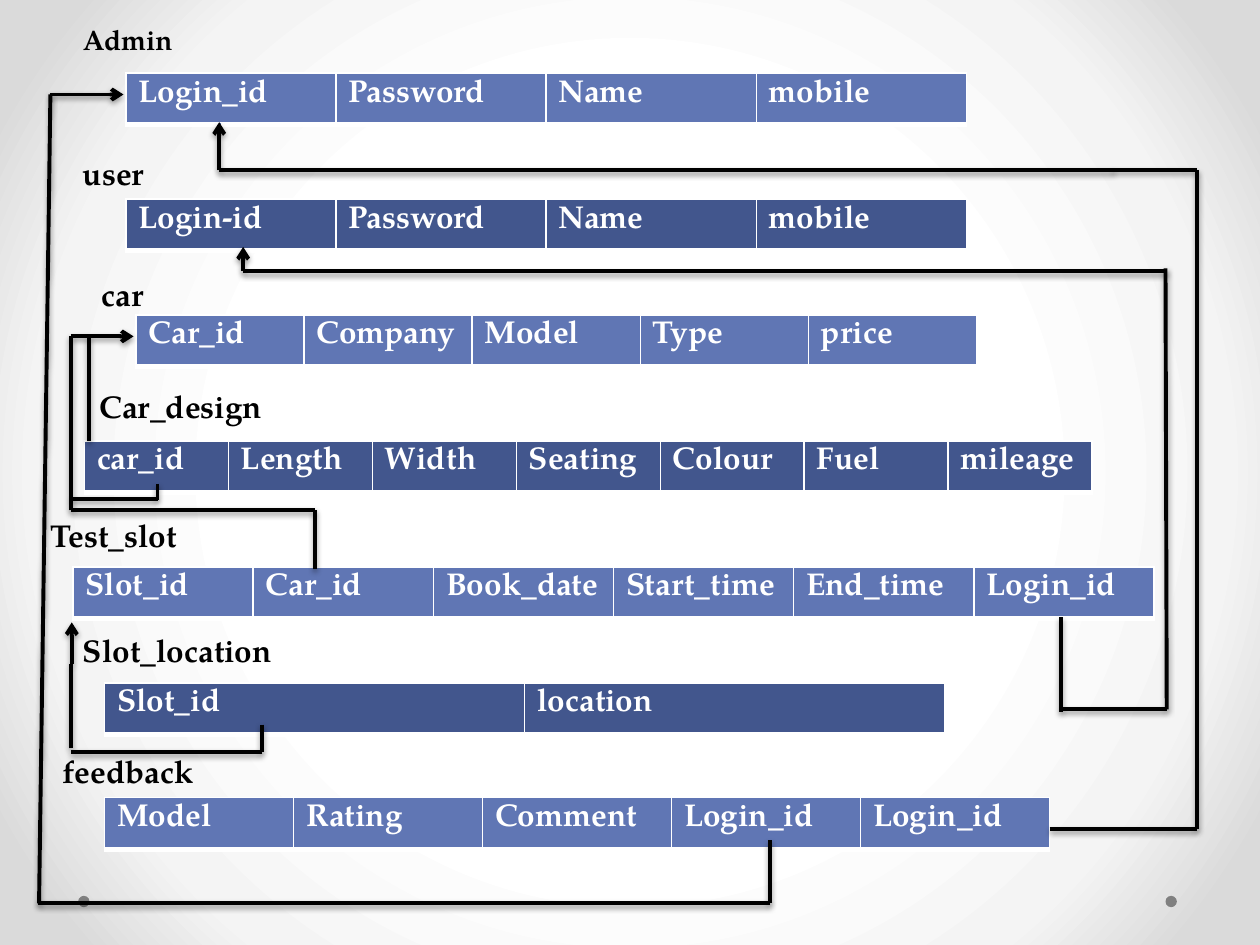
from itertools import pairwise
from lxml.etree import SubElement
from pptx import Presentation
from pptx.dml.color import RGBColor
from pptx.enum.shapes import MSO_CONNECTOR, MSO_SHAPE
from pptx.enum.text import MSO_AUTO_SIZE
from pptx.oxml.ns import qn
from pptx.util import Inches, Pt

THEME = {
    "font": "TeX Gyre Pagella",
    "size": 18,
    "small": 16,
    "text": "000000",
    "field_text": "FFFFFF",
    "rows": ["6076B4", "42568D"],
    "border": "FFFFFF",
    "link": "000000",
    "thin_link": "5C72B2",
    "dot": "808080",
    "background": [(0, "FFFFFF"), (50, "FFFFFF"), (76, "F4F4F4"), (92, "DADADA"), (100, "DADADA")],
}


def write_text(frame, text, size=THEME["size"], color=THEME["text"], bold=True):
    run = frame.paragraphs[0].add_run()
    run.text = text
    run.font.name = THEME["font"]
    run.font.size = Pt(size)
    run.font.bold = bold
    run.font.color.rgb = RGBColor.from_string(color)


def draw_link(start, end, color=THEME["link"], weight=2.25, arrow=False, shadow=True):
    link = slide.shapes.add_connector(
        MSO_CONNECTOR.STRAIGHT, *[Inches(v) for v in (*start, *end)])
    link.line.color.rgb = RGBColor.from_string(color)
    link.line.width = Pt(weight)
    properties = link.element.spPr
    if arrow:
        SubElement(properties.find(qn("a:ln")), qn("a:tailEnd"), type="arrow")
    effects = SubElement(properties, qn("a:effectLst"))
    if shadow:
        outer = SubElement(effects, qn("a:outerShdw"), blurRad="40000", dist="20000",
                           dir="5400000", rotWithShape="0")
        shade = SubElement(outer, qn("a:srgbClr"), val=color)
        SubElement(shade, qn("a:alpha"), val="38000")


deck = Presentation()
deck.slide_width, deck.slide_height = Inches(10), Inches(7.5)
slide = deck.slides.add_slide(deck.slide_layouts[6])

# Radial background
slide.background.fill.gradient()
gradient = slide.element.find(".//" + qn("a:gradFill"))
for part in list(gradient):
    gradient.remove(part)
stops = SubElement(gradient, qn("a:gsLst"))
for position, color in THEME["background"]:
    stop = SubElement(stops, qn("a:gs"), pos=str(position * 1000))
    SubElement(stop, qn("a:srgbClr"), val=color)
circle = SubElement(gradient, qn("a:path"), path="circle")
SubElement(circle, qn("a:fillToRect"), l="50000", t="50000", r="50000", b="50000")

# Footer dots
for left in (9.25, 0.62):
    dot = slide.shapes.add_shape(
        MSO_SHAPE.OVAL, Inches(left), Inches(7.11), Inches(0.09), Inches(0.09))
    dot.shadow.inherit = False
    dot.fill.solid()
    dot.fill.fore_color.rgb = RGBColor.from_string(THEME["dot"])
    dot.line.fill.background()

# Entities: name, size, label (left, top, width, height), row (left, top, width), fields
entities = [
    ("Admin", THEME["small"], (0.56, 0.13, 0.93, 0.37), (1, 0.58, 6.67),
     ["Login_id", "Password", "Name", "mobile"]),
    ("user", THEME["size"], (0.56, 1.17, 0.69, 0.4), (1, 1.58, 6.67),
     ["Login-id", "Password", "Name", "mobile"]),
    ("car", THEME["size"], (0.71, 2.13, 0.54, 0.4), (1.08, 2.5, 6.67),
     ["Car_id", "Company", "Model", "Type", "price"]),
    ("Car_design", THEME["size"], (0.69, 3.02, 1.51, 0.4), (0.67, 3.5, 8),
     ["car_id", "Length", "Width", "Seating", "Colour", "Fuel", "mileage"]),
    ("Test_slot", THEME["size"], (0.3, 4.05, 1.22, 0.4), (0.58, 4.5, 8.58),
     ["Slot_id", "Car_id", "Book_date", "Start_time", "End_time", "Login_id"]),
    ("Slot_location", THEME["size"], (0.56, 4.96, 1.72, 0.4), (0.83, 5.42, 6.67),
     ["Slot_id", "location"]),
    ("feedback", THEME["size"], (0.4, 5.92, 1.25, 0.4), (0.83, 6.33, 7.5),
     ["Model", "Rating", "Comment", "Login_id", "Login_id"]),
]
borders = [("a:lnL", 1), ("a:lnR", 1), ("a:lnT", 1), ("a:lnB", 3)]

for number, (name, size, label_box, row_box, fields) in enumerate(entities):
    row = slide.shapes.add_table(
        1, len(fields), *[Inches(v) for v in (*row_box, 0.41)]).table
    row.first_row = row.horz_banding = False
    for column, field in enumerate(fields):
        row.columns[column].width = Inches(row_box[2] / len(fields))
        cell = row.cell(0, column)
        write_text(cell.text_frame, field, color=THEME["field_text"])
        cell.fill.solid()
        cell.fill.fore_color.rgb = RGBColor.from_string(THEME["rows"][number % 2])
        cell_properties = cell.text_frame.paragraphs[0].runs and row.cell(0, column)
        cell_format = cell.fill and slide.shapes[-1].element.findall(".//" + qn("a:tcPr"))[column]
        for place, (side, weight) in enumerate(borders):
            edge = SubElement(cell_format, qn(side), w=str(Pt(weight)))
            paint = SubElement(edge, qn("a:solidFill"))
            SubElement(paint, qn("a:srgbClr"), val=THEME["border"])
            cell_format.insert(place, edge)

    label = slide.shapes.add_textbox(*[Inches(v) for v in label_box]).text_frame
    label.word_wrap = False
    label.auto_size = MSO_AUTO_SIZE.SHAPE_TO_FIT_TEXT
    write_text(label, name, size=size)

# Key references: corner points, arrow at the last point
draw_link((1.75, 0.98), (1.75, 1.35), THEME["thin_link"], 0.75, shadow=False)
references = [
    ([(8.33, 6.58), (9.5, 6.58), (9.5, 1.35), (8.83, 1.35), (1.74, 1.35), (1.74, 0.97)], True),
    ([(6.11, 6.67), (6.11, 7.17), (0.3, 7.17)], False),
    ([(0.31, 7.17), (0.4, 0.75), (0.98, 0.75)], True),
    ([(8.42, 4.9), (8.42, 5.65)], False),
    ([(8.43, 5.63), (9.26, 5.63), (9.25, 2.13)], False),
    ([(9.26, 2.15), (1.93, 2.15), (1.93, 1.96)], True),
    ([(2.5, 4.52), (2.5, 4.05), (0.56, 4.05), (0.56, 2.67), (1.06, 2.67)], True),
    ([(1.25, 3.84), (1.25, 3.97)], False),
    ([(1.25, 3.96), (0.56, 3.96)], False),
    ([(0.71, 3.5), (0.71, 2.67)], False),
    ([(2.08, 5.75), (2.08, 5.97), (0.56, 5.97)], False),
    ([(0.56, 5.94), (0.56, 5.27)], False),
    ([(0.57, 5.27), (0.57, 4.94)], True),
]
for corners, pointed in references:
    for start, end in pairwise(corners):
        draw_link(start, end, arrow=pointed and end == corners[-1])

deck.save("out.pptx")
